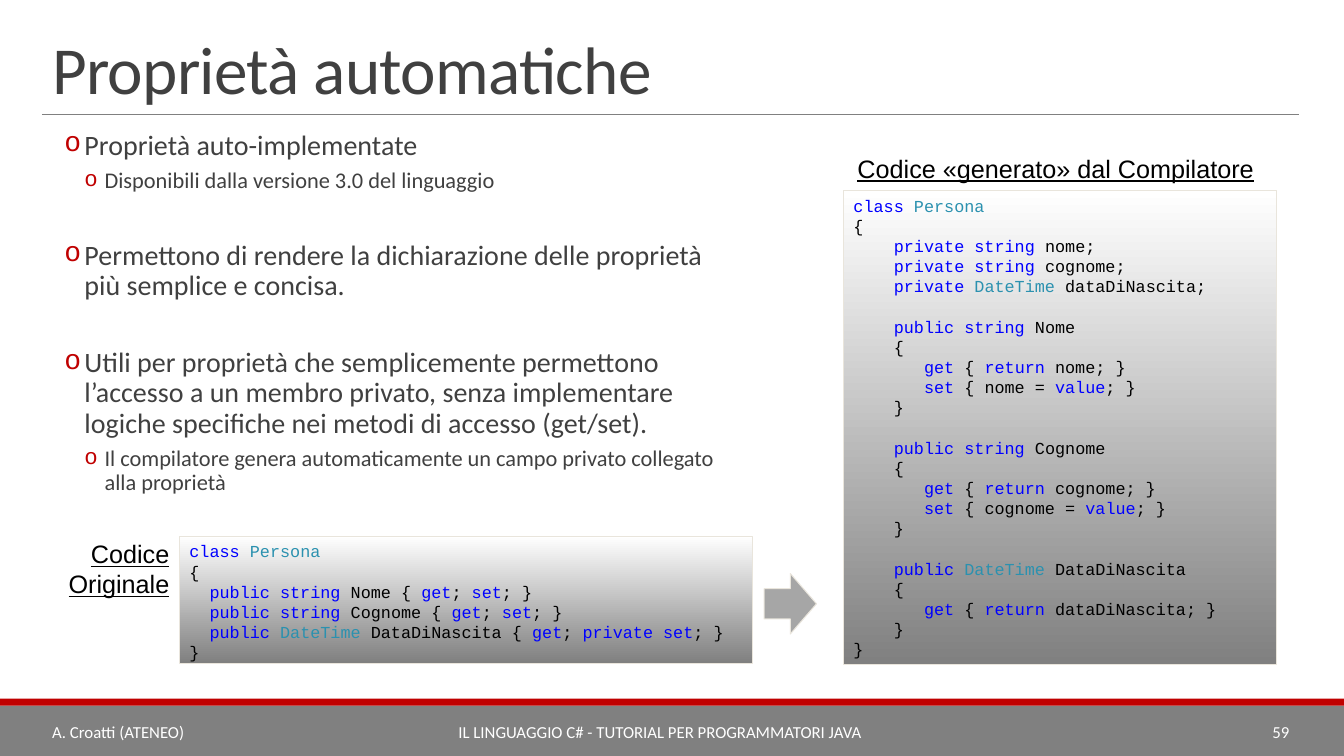
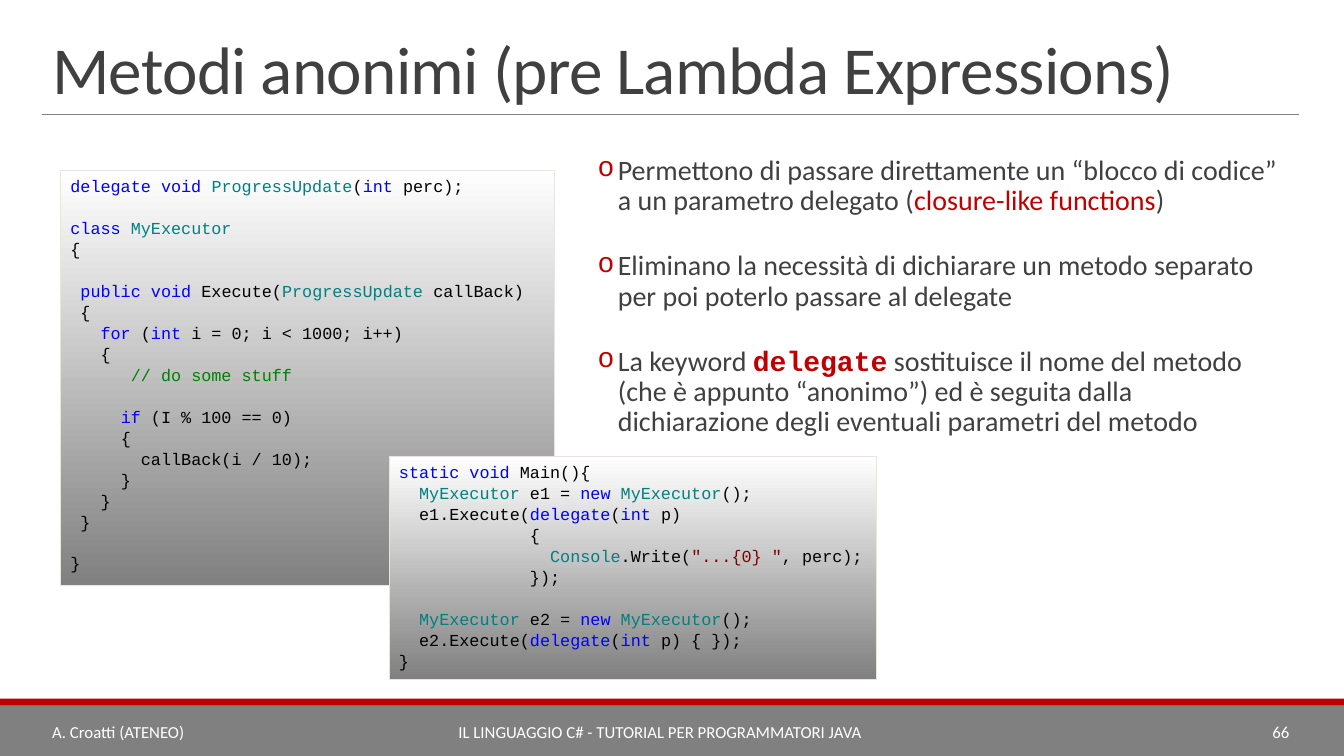
import dataclasses
import itertools

import pptx
import pptx.dml.color
import pptx.enum.shapes
import pptx.enum.text
import pptx.oxml
import pptx.oxml.ns
import pptx.util

Pt = pptx.util.Pt
Align = pptx.enum.text.PP_ALIGN
Anchor = pptx.enum.text.MSO_ANCHOR
Preset = pptx.enum.shapes.MSO_SHAPE

KEYWORDS = set(
    "class private public string get set return value delegate void int for if static new".split()
)


@dataclasses.dataclass(frozen=True)
class Theme:
    """Colours, fonts and type sizes of the presentation."""
    ink: str = "404040"
    black: str = "000000"
    white: str = "FFFFFF"
    gray: str = "808080"
    red: str = "C00000"
    arrow: str = "A6A6A6"
    border: str = "E9E5DC"
    keyword: str = "0000FF"
    comment: str = "008000"
    literal: str = "800000"
    cyan: str = "2B91AF"
    teal: str = "008080"
    body_font: str = "Calibri"
    label_font: str = "Arial"
    code_font: str = "Courier New"
    title_size: float = 48
    body_sizes: tuple = (20, 16)
    label_size: float = 18
    code_size: float = 12
    footer_size: float = 12
    code_pitch: float = 14.4
    code_advance: float = 7.2


THEME = Theme()
TYPE_COLORS = dict.fromkeys(("Persona", "DateTime"), THEME.cyan)
TYPE_COLORS.update(dict.fromkeys(("ProgressUpdate", "MyExecutor", "Console"), THEME.teal))


def rgb(value):
    """Turn a hex string into a colour."""
    return pptx.dml.color.RGBColor.from_string(value)


def word_color(word):
    """Return the colour of one word of code."""
    if word in KEYWORDS:
        return THEME.keyword
    return TYPE_COLORS.get(word, THEME.black)


def highlight(line):
    """Split a line of code into (text, colour) runs."""
    if line.startswith("//"):
        return [(line, THEME.comment)]
    tokens = []
    for position, part in enumerate(line.split('"')):
        if position % 2:
            tokens.append((f'"{part}"', THEME.literal))
            continue
        for _, letters in itertools.groupby(part, str.isalnum):
            word = "".join(letters)
            blank = word.isspace() and tokens
            tokens.append((word, tokens[-1][1] if blank else word_color(word)))
    return [
        ("".join(text for text, _ in group), color)
        for color, group in itertools.groupby(tokens, key=lambda token: token[1])
    ]


class Deck:
    """Holds the style and the slide being built."""

    def __init__(self, theme):
        """Start an empty widescreen presentation."""
        self.theme = theme
        self.presentation = pptx.Presentation()
        self.presentation.slide_width = Pt(960)
        self.presentation.slide_height = Pt(540)
        self.slide = None

    def new_slide(self, title, number):
        """Add a slide with its bands, rule, title and footer."""
        theme = self.theme
        self.slide = self.presentation.slides.add_slide(self.presentation.slide_layouts[6])
        self.shape(Preset.RECTANGLE, (0, 504, 960, 36), theme.gray)
        self.shape(Preset.RECTANGLE, (0, 499, 960, 5), theme.red)
        self.rule(30, 928, 82)
        frame = self.text_box((30.2, 22.3, 898, 58.3), Anchor.BOTTOM)
        paragraph = frame.paragraphs[0]
        paragraph.line_spacing = 0.85
        run = self.run(paragraph, title, theme.body_font, theme.title_size, theme.ink)
        run._r.get_or_add_rPr().set("spc", "-50")
        footers = (
            (30.2, 133.2, Align.LEFT, "A. Croatti (ATENEO)"),
            (163.4, 616.4, Align.CENTER, "IL LINGUAGGIO C# - TUTORIAL PER PROGRAMMATORI JAVA"),
            (779.8, 148.3, Align.RIGHT, str(number)),
        )
        for left, width, alignment, text in footers:
            paragraph = self.text_box((left, 508.3, width, 28.8), Anchor.MIDDLE).paragraphs[0]
            paragraph.alignment = alignment
            self.run(paragraph, text, theme.body_font, theme.footer_size, theme.white)

    def run(self, paragraph, text, font, size, color):
        """Append one formatted run to a paragraph."""
        run = paragraph.add_run()
        run.text = text
        run.font.name = font
        run.font.size = Pt(size)
        run.font.color.rgb = rgb(color)
        return run

    def shape(self, preset, box, fill, line=None):
        """Add a flat preset shape."""
        shape = self.slide.shapes.add_shape(preset, *map(Pt, box))
        shape.shadow.inherit = False
        shape.fill.solid()
        shape.fill.fore_color.rgb = rgb(fill)
        if line:
            shape.line.color.rgb = rgb(line)
            shape.line.width = Pt(0.75)
        else:
            shape.line.fill.background()
        return shape

    def rule(self, left, right, top):
        """Add a thin horizontal line."""
        connector = self.slide.shapes.add_connector(
            pptx.enum.shapes.MSO_CONNECTOR.STRAIGHT, Pt(left), Pt(top), Pt(right), Pt(top)
        )
        connector.line.color.rgb = rgb(self.theme.gray)
        connector.line.width = Pt(0.5)
        connector._element.spPr.append(pptx.oxml.parse_xml(
            f'<a:effectLst {pptx.oxml.ns.nsdecls("a")}/>'
        ))

    def text_box(self, box, anchor=Anchor.TOP):
        """Add a wrapping text box and return its text frame."""
        frame = self.slide.shapes.add_textbox(*map(Pt, box)).text_frame
        frame.word_wrap = True
        frame.vertical_anchor = anchor
        return frame

    def label(self, box, lines):
        """Add an underlined, right-aligned caption."""
        frame = self.text_box(box)
        frame.word_wrap = False
        frame.auto_size = pptx.enum.text.MSO_AUTO_SIZE.SHAPE_TO_FIT_TEXT
        for index, text in enumerate(lines):
            paragraph = frame.add_paragraph() if index else frame.paragraphs[0]
            paragraph.alignment = Align.RIGHT
            run = self.run(
                paragraph, text, self.theme.label_font, self.theme.label_size, self.theme.black
            )
            run.font.underline = True

    def bullets(self, box, items, gap):
        """Add bullets from (level, runs); first-level items stand a gap apart."""
        theme = self.theme
        frame = self.text_box(box)
        frame.margin_left = frame.margin_right = 0
        for index, (level, runs) in enumerate(items):
            paragraph = frame.add_paragraph() if index else frame.paragraphs[0]
            paragraph.level = level
            paragraph.line_spacing = 0.9
            paragraph.space_before = Pt(2 + (gap if index and level == 0 else 0))
            paragraph.space_after = Pt(4)
            self.bullet(paragraph, 30.2 + 14.4 * level)
            for text, kind in runs:
                run = self.run(
                    paragraph, text,
                    theme.code_font if kind == "code" else theme.body_font,
                    theme.body_sizes[level],
                    theme.red if kind else theme.ink,
                )
                run.font.bold = kind == "code"

    def bullet(self, paragraph, indent):
        """Give a paragraph a red hanging bullet."""
        properties = paragraph._p.get_or_add_pPr()
        properties.set("marL", str(Pt(indent)))
        properties.set("indent", str(-Pt(14.4)))
        namespace = pptx.oxml.ns.nsdecls("a")
        for markup in (
            f'<a:buClr {namespace}><a:srgbClr val="{self.theme.red}"/></a:buClr>',
            f'<a:buFont {namespace} typeface="{self.theme.code_font}"/>',
            f'<a:buChar {namespace} char="o"/>',
        ):
            properties.append(pptx.oxml.parse_xml(markup))

    def code(self, box, source, spacing=0.0):
        """Add a gradient panel with highlighted, indented code."""
        theme = self.theme
        panel = self.shape(Preset.RECTANGLE, box, theme.white, theme.border)
        panel.fill.gradient()
        panel.fill.gradient_angle = 270
        for stop, color in zip(panel.fill.gradient_stops, (theme.white, theme.gray)):
            stop.color.rgb = rgb(color)
        for position, stop in enumerate(panel.fill.gradient_stops):
            stop.position = position
        frame = panel.text_frame
        frame.word_wrap = True
        frame.vertical_anchor = Anchor.TOP
        frame.margin_bottom = 0
        paragraph, before = frame.paragraphs[0], spacing
        for index, line in enumerate(source.strip("\n").split("\n")):
            text = line.lstrip()
            if not text:
                before += theme.code_pitch + spacing
                continue
            if index:
                paragraph = frame.add_paragraph()
            paragraph.alignment = Align.LEFT
            paragraph.space_before = Pt(before)
            before = spacing
            indent = Pt(theme.code_advance * (len(line) - len(text)))
            paragraph._p.get_or_add_pPr().set("marL", str(indent))
            for part, color in highlight(text):
                self.run(paragraph, part, theme.code_font, theme.code_size, color)


GENERATED_CODE = """
class Persona
{
    private string nome;
    private string cognome;
    private DateTime dataDiNascita;

    public string Nome
    {
       get { return nome; }
       set { nome = value; }
    }

    public string Cognome
    {
       get { return cognome; }
       set { cognome = value; }
    }

    public DateTime DataDiNascita
    {
       get { return dataDiNascita; }
    }
}
"""
SOURCE_CODE = """
class Persona
{
  public string Nome { get; set; }
  public string Cognome { get; set; }
  public DateTime DataDiNascita { get; private set; }
}
"""
EXECUTOR_CODE = """
delegate void ProgressUpdate(int perc);

class MyExecutor
{

 public void Execute(ProgressUpdate callBack)
 {
   for (int i = 0; i < 1000; i++)
   {
      // do some stuff

     if (I % 100 == 0)
     {
       callBack(i / 10);
     }
   }
 }

}
"""
MAIN_CODE = """
static void Main(){
  MyExecutor e1 = new MyExecutor();
  e1.Execute(delegate(int p)
             {
               Console.Write("...{0} ", perc);
             });

  MyExecutor e2 = new MyExecutor();
  e2.Execute(delegate(int p) { });
}
"""


def automatic_properties(deck):
    """Build the slide on automatic properties."""
    deck.new_slide("Proprietà automatiche", 59)
    deck.bullets((30.2, 90, 496, 389.5), [
        (0, [("Proprietà auto-implementate", None)]),
        (1, [("Disponibili dalla versione 3.0 del linguaggio", None)]),
        (0, [("Permettono di rendere la dichiarazione delle proprietà più semplice e concisa.", None)]),
        (0, [("Utili per proprietà che semplicemente permettono l’accesso a un membro privato, senza "
              "implementare logiche specifiche nei metodi di accesso (get/set).", None)]),
        (1, [("Il compilatore genera automaticamente un campo privato collegato alla proprietà", None)]),
    ], gap=27.6)
    deck.code((602.6, 136.1, 309.6, 338.4), GENERATED_CODE)
    deck.code((128.2, 383, 409, 90.7), SOURCE_CODE)
    deck.shape(Preset.RIGHT_ARROW, (545.8, 409.7, 37.4, 43.2), THEME.arrow, THEME.border)
    deck.label((41, 380.9, 87.1, 51.1), ["Codice", "Originale"])
    deck.label((602.6, 105.8, 300.2, 28.8), ["Codice «generato» dal Compilatore"])


def anonymous_methods(deck):
    """Build the slide on anonymous methods."""
    deck.new_slide("Metodi anonimi (pre Lambda Expressions)", 66)
    deck.bullets((411.1, 108, 503.3, 231.8), [
        (0, [("Permettono di passare direttamente un “blocco di codice” a un parametro delegato (", None),
             ("closure-like functions", "accent"), (")", None)]),
        (0, [("Eliminano la necessità di dichiarare un metodo separato per poi poterlo passare "
              "al delegate", None)]),
        (0, [("La keyword ", None), ("delegate", "code"),
             (" sostituisce il nome del metodo (che è appunto “anonimo”) ed è seguita dalla "
              "dichiarazione degli eventuali parametri del metodo", None)]),
    ], gap=19)
    deck.code((43.2, 121.7, 352.8, 296.6), EXECUTOR_CODE, spacing=0.6)
    deck.code((277.9, 326.2, 348.5, 159.1), MAIN_CODE, spacing=0.6)


deck = Deck(THEME)
automatic_properties(deck)
anonymous_methods(deck)
deck.presentation.save("out.pptx")
